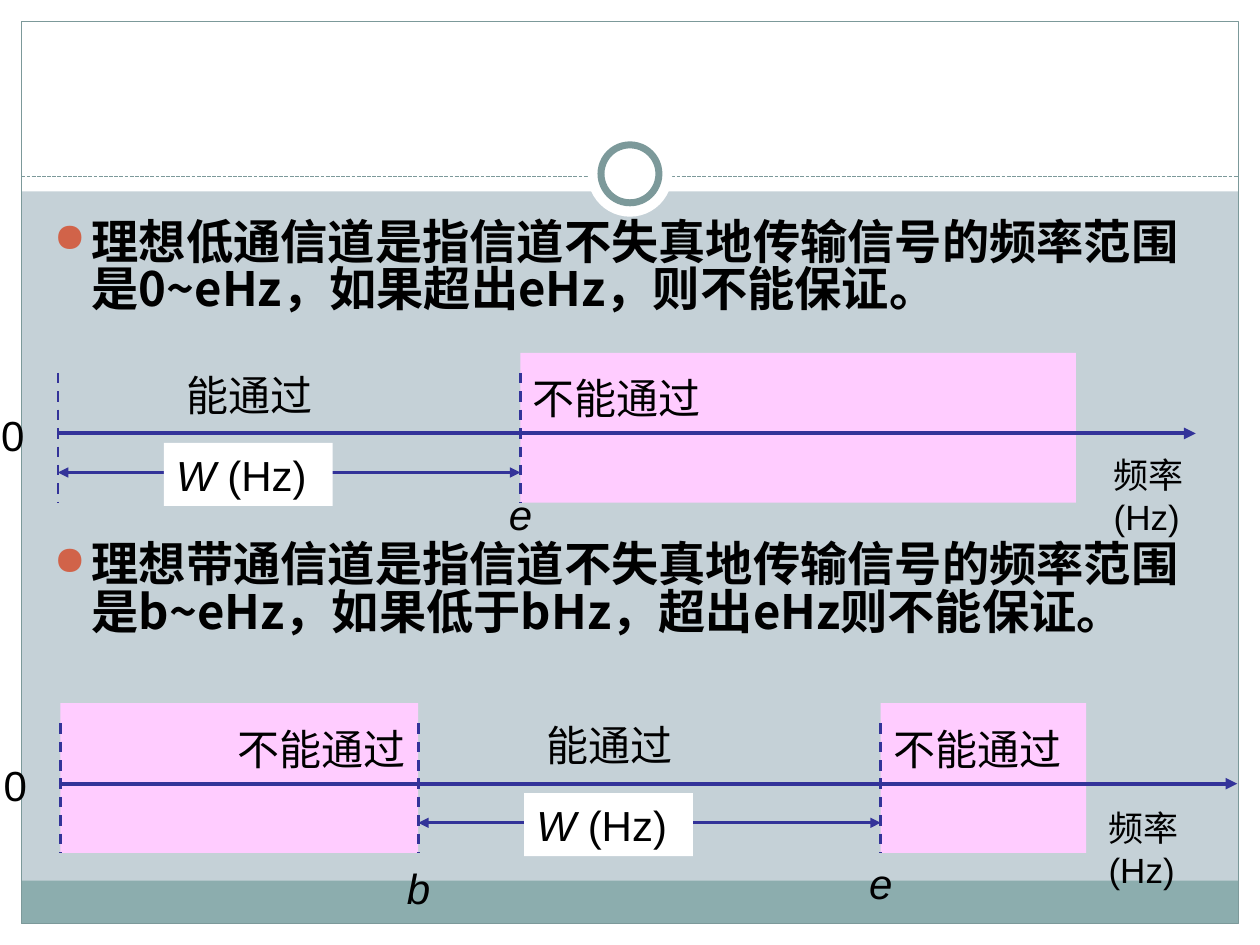
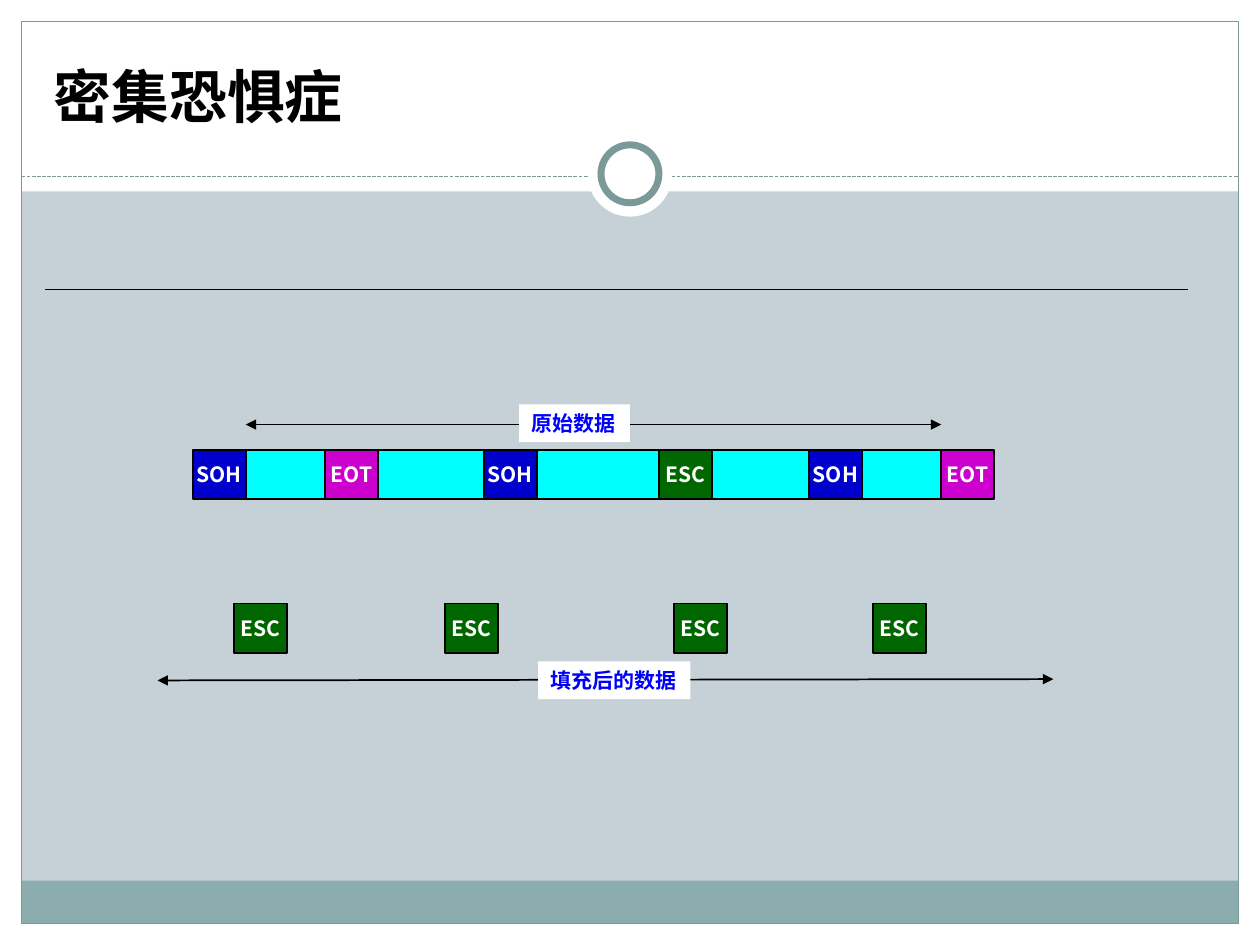
from dataclasses import dataclass
from typing import Optional

from lxml.etree import SubElement
from pptx import Presentation
from pptx.dml.color import RGBColor
from pptx.enum.dml import MSO_LINE_DASH_STYLE as Dash
from pptx.enum.shapes import MSO_CONNECTOR as Conn, MSO_SHAPE as Shape
from pptx.enum.text import MSO_ANCHOR as Anchor, PP_ALIGN as Align
from pptx.oxml.ns import qn
from pptx.util import Inches, Pt

# The slide is a grid of square cells, ten to the inch.
COLS, ROWS = 100, 75
SANS, CJK = "Arial", "Noto Sans CJK SC"

WHITE, BLACK = "FFFFFF", "000000"
BACKGROUND, FOOTER, FRAME = "C5D1D7", "8CADAE", "7C999A"
BULLET, AXIS, BLOCKED = "D16349", "333399", "FFCCFF"
PAYLOAD, CAPTION = "00FFFF", "0000FF"
CONTROL = {"SOH": "0000CC", "EOT": "CC00CC", "ESC": "006600"}


@dataclass(frozen=True)
class Box:
    left: float
    top: float
    width: float
    height: float


@dataclass(frozen=True)
class Band:
    """A range of frequencies that does not pass."""
    start: float
    end: float
    align: Align = Align.LEFT


@dataclass(frozen=True)
class Mark:
    """A letter under a limit, a number of rows below the axis."""
    letter: str
    col: float
    drop: float


@dataclass(frozen=True)
class Channel:
    axis: float
    start: float
    end: float
    pass_start: float
    pass_end: float
    unit: Box
    blocked: tuple[Band, ...]
    marks: tuple[Mark, ...]


CHANNELS = (
    Channel(34.4, 4.6, 94.9, 4.6, 41.3, Box(87.4, 35.5, 11, 4.4),
            (Band(41.3, 85.4),), (Mark("e", 41.3, 3.9),)),
    Channel(62.2, 4.8, 98.2, 33.2, 69.9, Box(87, 63.5, 11, 4.4),
            (Band(4.8, 33.2, Align.RIGHT), Band(69.9, 86.2)),
            (Mark("b", 33.2, 5.8), Mark("e", 69.9, 5.4))),
)
STATEMENTS = (
    (17.1, "理想低通信道是指信道不失真地传输信号的频率范围是0~eHz，如果超出eHz，则不能保证。"),
    (42.7, "理想带通信道是指信道不失真地传输信号的频率范围是b~eHz，如果低于bHz，超出eHz则不能保证。"),
)

# A name is a control character, a number is the width of a payload.
FRAME_PARTS = ("SOH", 6.3, "EOT", 8.4, "SOH", 9.7, "ESC", 7.7, "SOH", 6.3, "EOT")
STUFFED_COLS = (18.6, 35.3, 53.5, 69.3)
CELL_WIDTH, CELL_HEIGHT = 4.2, 3.9


def grid(cells: float) -> Inches:
    return Inches(cells / 10)


def rgb(color: str) -> RGBColor:
    return RGBColor.from_string(color)


def place(box: Box) -> tuple[Inches, ...]:
    return tuple(grid(n) for n in (box.left, box.top, box.width, box.height))


def add_block(slide, box: Box, fill: Optional[str] = None, line: Optional[str] = None,
              weight: float = 1, kind: Shape = Shape.RECTANGLE):
    sp = slide.shapes.add_shape(kind, *place(box))
    sp.shadow.inherit = False
    if fill:
        sp.fill.solid()
        sp.fill.fore_color.rgb = rgb(fill)
    else:
        sp.fill.background()
    if line:
        sp.line.color.rgb = rgb(line)
        sp.line.width = Pt(weight)
    else:
        sp.line.fill.background()
    return sp


def add_line(slide, x1: float, y1: float, x2: float, y2: float, color: str = BLACK,
             weight: float = 1, dash: Optional[Dash] = None, arrows: tuple[str, ...] = ()):
    cxn = slide.shapes.add_connector(Conn.STRAIGHT, *map(grid, (x1, y1, x2, y2)))
    cxn.line.color.rgb = rgb(color)
    cxn.line.width = Pt(weight)
    if dash:
        cxn.line.dash_style = dash
    for end in arrows:
        SubElement(cxn.line._get_or_add_ln(), qn(f"a:{end}"), type="triangle")
    SubElement(cxn._element.spPr, qn("a:effectLst"))


BOTH_ENDS = ("headEnd", "tailEnd")


def add_run(p, text: str, size: float, color: str, font: str, bold: bool, italic: bool):
    r = p.add_run()
    r.text = text
    f = r.font
    f.size, f.bold, f.italic, f.name = Pt(size), bold, italic, font
    f.color.rgb = rgb(color)
    SubElement(r._r.get_or_add_rPr(), qn("a:ea"), typeface=CJK)


def write(sp, text: str, size: float = 24, color: str = BLACK, font: str = SANS,
          bold: bool = False, italic: bool = False, align: Align = Align.LEFT,
          anchor: Anchor = Anchor.TOP, top: float = 0.5, upright: str = ""):
    """Write one paragraph; upright is a tail that is never italic."""
    tf = sp.text_frame
    tf.word_wrap = True
    tf.vertical_anchor = anchor
    tf.margin_left = grid(1 if align == Align.LEFT else 0)
    tf.margin_right = grid(1 if align == Align.RIGHT else 0)
    tf.margin_top, tf.margin_bottom = grid(top), grid(0.5)
    p = tf.paragraphs[0]
    p.alignment = align
    add_run(p, text, size, color, font, bold, italic)
    if upright:
        add_run(p, upright, size, color, font, bold, False)
    return p


def add_text(slide, box: Box, text: str, **style):
    return write(slide.shapes.add_textbox(*place(box)), text, **style)


def add_bullet(slide, top: float, text: str):
    p = add_text(slide, Box(3.3, top, 93, 10), text, size=27, font=CJK, bold=True)
    p.line_spacing = 0.83
    pPr = p._p.get_or_add_pPr()
    pPr.set("marL", str(grid(3)))
    pPr.set("indent", str(grid(-3)))
    SubElement(SubElement(pPr, qn("a:buClr")), qn("a:srgbClr"), val=BULLET)
    SubElement(pPr, qn("a:buSzPct"), val="85000")
    SubElement(pPr, qn("a:buChar"), char="●")


def add_themed_slide(prs):
    slide = prs.slides.add_slide(prs.slide_layouts[6])
    slide.background.fill.solid()
    slide.background.fill.fore_color.rgb = rgb(BACKGROUND)
    edge = 1.7
    for margin in (Box(0, ROWS - edge, COLS, edge), Box(0, 0, COLS, 15.2),
                   Box(0, 0, edge, ROWS), Box(COLS - edge, 0, edge, ROWS)):
        add_block(slide, margin, WHITE)
    inner = COLS - 2 * edge
    add_block(slide, Box(edge, 69.9, inner, 3.4), FOOTER)
    add_block(slide, Box(edge, edge, inner, ROWS - 2 * edge), line=FRAME, weight=0.75)
    add_line(slide, edge, 14, COLS - edge, 14, FRAME, 0.75, Dash.SQUARE_DOT)
    add_block(slide, Box(46.65, 10.5, 6.7, 6.7), WHITE, kind=Shape.OVAL)
    add_block(slide, Box(47.7, 11.5, 4.6, 4.6), WHITE, FRAME, 4, Shape.OVAL)
    return slide


def draw_channel(slide, ch: Channel):
    y = ch.axis
    for band in ch.blocked:
        sp = add_block(slide, Box(band.start, y - 6.4, band.end - band.start, 11.9), BLOCKED)
        write(sp, "不能通过", align=band.align, top=1.6)
    add_line(slide, ch.start, y, ch.end, y, AXIS, 2.25, arrows=("tailEnd",))
    for col in sorted({ch.start, ch.pass_start, ch.pass_end}):
        add_line(slide, col, y - 4.8, col, y + 5.5, AXIS, 1.5, Dash.DASH)
    add_line(slide, ch.pass_start, y + 3.1, ch.pass_end, y + 3.1, AXIS, 1.5, arrows=BOTH_ENDS)
    add_text(slide, Box(ch.pass_start + 9.2, y - 5.6, 12.1, 5), "能通过")
    width_label = add_block(slide, Box(ch.pass_start + 8.4, y + 0.75, 13.4, 5), WHITE)
    write(width_label, "W ", italic=True, upright="(Hz)")
    add_text(slide, Box(ch.start - 5.5, y - 2.4, 3.9, 5), "0")
    add_text(slide, ch.unit, "频率(Hz)", size=20)
    for mark in ch.marks:
        add_text(slide, Box(mark.col - 1.9, y + mark.drop, 3.9, 5), mark.letter, italic=True)


def add_control(slide, name: str, left: float, top: float):
    sp = add_block(slide, Box(left, top, CELL_WIDTH, CELL_HEIGHT), CONTROL[name], BLACK)
    write(sp, name, size=12, color=WHITE, font=CJK, bold=True,
          align=Align.CENTER, anchor=Anchor.MIDDLE)


def add_caption(slide, box: Box, text: str):
    write(add_block(slide, box, WHITE), text, size=12, color=CAPTION, font=CJK, bold=True)


def build_channels(prs):
    slide = add_themed_slide(prs)
    for top, text in STATEMENTS:
        add_bullet(slide, top, text)
    for channel in CHANNELS:
        draw_channel(slide, channel)


def build_byte_stuffing(prs):
    slide = add_themed_slide(prs)
    add_text(slide, Box(3.3, 2.5, 93.3, 8.3), "密集恐惧症", size=33, font=CJK, bold=True,
             anchor=Anchor.BOTTOM)
    add_line(slide, 3.6, 23, 94.3, 23, weight=0.75)

    left, top = 15.3, 35.7
    for part in FRAME_PARTS:
        if isinstance(part, str):
            add_control(slide, part, left, top)
            left += CELL_WIDTH
        else:
            add_block(slide, Box(left, top, part, CELL_HEIGHT), PAYLOAD, BLACK)
            left += part
    for col in STUFFED_COLS:
        add_control(slide, "ESC", col, 47.9)

    add_line(slide, 19.5, 33.7, 74.7, 33.7, arrows=BOTH_ENDS)
    add_caption(slide, Box(41.2, 32.1, 8.8, 3), "原始数据")
    add_line(slide, 12.5, 54, 83.6, 53.9, arrows=BOTH_ENDS)
    add_caption(slide, Box(42.7, 52.5, 12.1, 3), "填充后的数据")


def main():
    prs = Presentation()
    prs.slide_width, prs.slide_height = grid(COLS), grid(ROWS)
    build_channels(prs)
    build_byte_stuffing(prs)
    prs.save("out.pptx")


if __name__ == "__main__":
    main()
